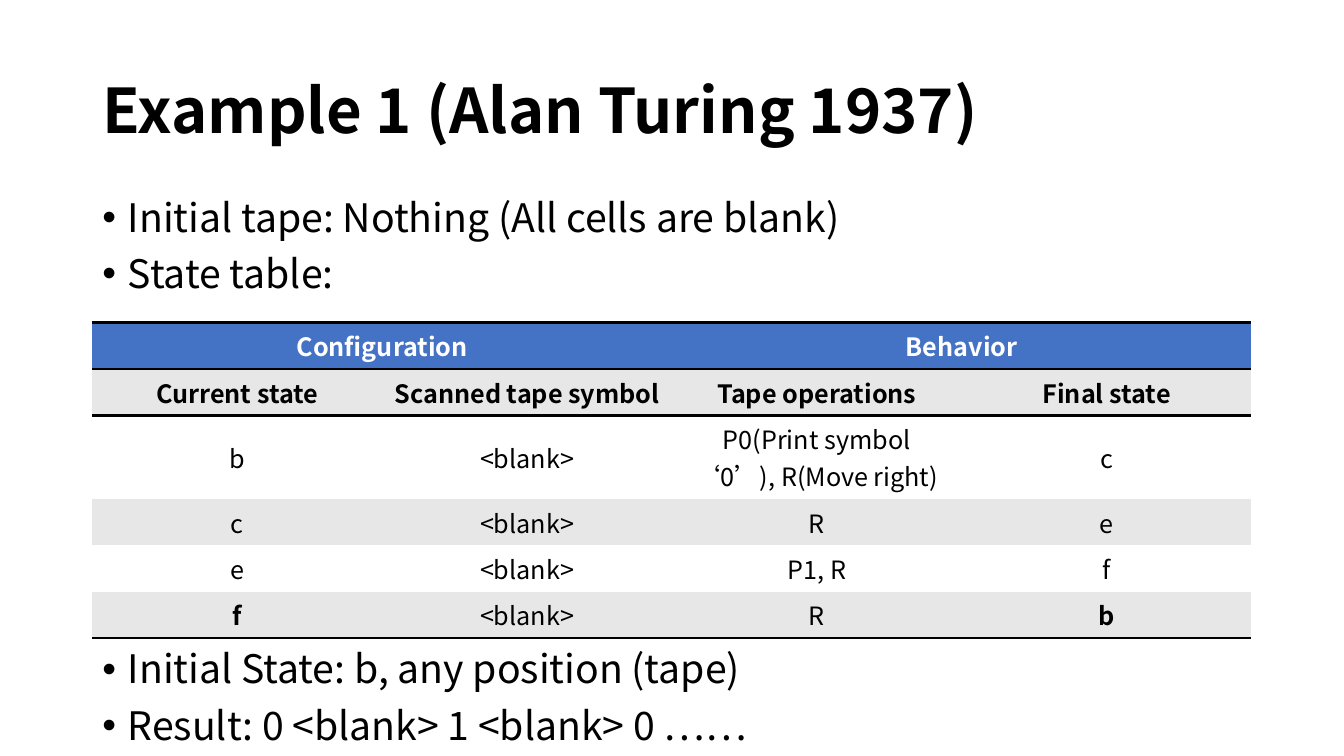
"""Build the slide on Turing's first example machine."""
import pptx
import pptx.util
import pptx.dml.color
import pptx.enum.text
import pptx.oxml
import pptx.oxml.ns

Cm, Pt = pptx.util.Cm, pptx.util.Pt
ALIGN = pptx.enum.text.PP_ALIGN
ANCHOR = pptx.enum.text.MSO_ANCHOR
HUES = {"ink": "000000", "paper": "FFFFFF", "head": "4472C4", "band": "E7E7E7"}
FONT = "Noto Sans CJK SC"
PLAIN = "{2D5ABB26-0587-4C30-8999-92F81FD0307C}"
LEFT, WIDE = Cm(2.33), Cm(29.21)
ROWS = [
    ["Configuration", "", "Behavior", ""],
    ["Current state", "Scanned tape symbol", "Tape operations", "Final state"],
    ["b", "<blank>", "P0(Print symbol ‘0’), R(Move right)", "c"],
    ["c", "<blank>", "R", "e"],
    ["e", "<blank>", "P1, R", "f"],
    ["f", "<blank>", "R", "b"],
]
HIGHS = [1.17, 1.17, 2.1, 1.17, 1.17, 1.17]


def color(name):
    return pptx.dml.color.RGBColor.from_string(HUES[name])


def make(tag, **attrs):
    node = pptx.oxml.parse_xml(f"<a:{tag} {pptx.oxml.ns.nsdecls('a')}/>")
    for key, value in attrs.items():
        node.set(key, value)
    return node


def write(para, text, size=18, bold=False, hue="ink", align=ALIGN.LEFT):
    para.alignment = align
    run = para.add_run()
    run.text = text
    run.font.size, run.font.bold, run.font.name = Pt(size), bold, FONT
    run.font.color.rgb = color(hue)
    run.font._element.append(make("ea", typeface=FONT))


class Deck:
    def __init__(self):
        self.show = pptx.Presentation()
        self.show.slide_width, self.show.slide_height = Cm(33.87), Cm(19.05)
        self.slide = self.show.slides.add_slide(self.show.slide_layouts[6])

    def box(self, top, high, anchor=ANCHOR.TOP):
        shape = self.slide.shapes.add_textbox(LEFT, Cm(top), WIDE, Cm(high))
        frame = shape.text_frame
        frame.word_wrap, frame.vertical_anchor = True, anchor
        return frame

    def title(self, text, top, high):
        para = self.box(top, high, ANCHOR.MIDDLE).paragraphs[0]
        para.line_spacing = 0.9
        write(para, text, size=44, bold=True)

    def list(self, lines, top, high):
        frame = self.box(top, high)
        for i, line in enumerate(lines):
            para = frame.add_paragraph() if i else frame.paragraphs[0]
            para.line_spacing, para.space_before = 0.9, Pt(10)
            write(para, line, size=28)
            props = para._p.get_or_add_pPr()
            props.set("marL", str(Cm(0.64)))
            props.set("indent", str(-Cm(0.64)))
            props.append(make("buFont", typeface="Arial"))
            props.append(make("buChar", char="•"))

    def edge(self, cell, side):
        line = make(side, w=str(Pt(2)))
        fill = make("solidFill")
        fill.append(make("srgbClr", val=HUES["ink"]))
        line.append(fill)
        cell._tc.get_or_add_tcPr().insert(0, line)

    def table(self, rows, highs, top):
        frame = self.slide.shapes.add_table(
            len(rows), len(rows[0]), LEFT, Cm(top), WIDE, Cm(sum(highs)))
        grid = frame.table
        grid.first_row = grid.horz_banding = False
        for style in frame.element.iter(pptx.oxml.ns.qn("a:tableStyleId")):
            style.text = PLAIN
        last = len(rows) - 1
        for r, row in enumerate(rows):
            grid.rows[r].height = Cm(highs[r])
            for c, text in enumerate(row):
                cell = grid.cell(r, c)
                cell.vertical_anchor = ANCHOR.MIDDLE
                cell.fill.solid()
                fill = "band" if r % 2 else "paper"
                cell.fill.fore_color.rgb = color(fill if r else "head")
                if r in (0, last):
                    self.edge(cell, "lnB")
                if r < 2:
                    self.edge(cell, "lnT")
                if text:
                    bold = r < 2 or (r == last and c in (0, 3))
                    write(cell.text_frame.paragraphs[0], text, bold=bold,
                          hue="ink" if r else "paper", align=ALIGN.CENTER)
        for c in (0, 2):
            grid.cell(0, c).merge(grid.cell(0, c + 1))


def main():
    deck = Deck()
    deck.title("Example 1 (Alan Turing 1937)", 1.01, 3.68)
    deck.list(["Initial tape: Nothing (All cells are blank)", "State table:"],
              4.87, 3)
    deck.list(["Initial State: b, any position (tape)",
               "Result: 0 <blank> 1 <blank> 0 ……"], 16.25, 2.8)
    deck.table(ROWS, HIGHS, 8.13)
    deck.show.save("out.pptx")


if __name__ == "__main__":
    main()
